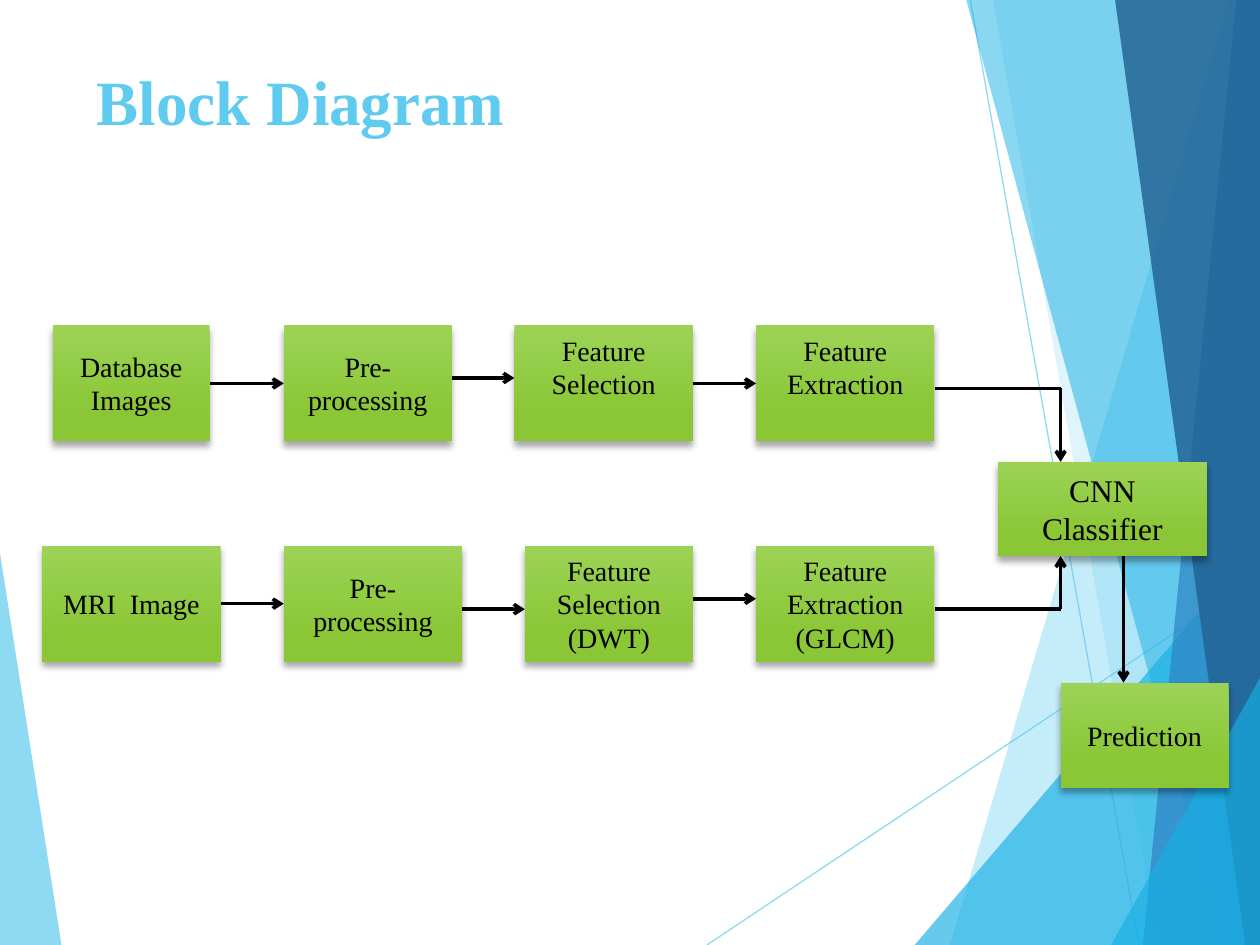
"""Builds the block diagram slide of an MRI classification pipeline."""
from dataclasses import dataclass

from lxml import etree
from pptx import Presentation
from pptx.dml.color import RGBColor
from pptx.enum.shapes import MSO_CONNECTOR, MSO_SHAPE
from pptx.enum.text import MSO_ANCHOR, PP_ALIGN
from pptx.oxml.ns import qn
from pptx.util import Cm, Pt

STRAIGHT = MSO_CONNECTOR.STRAIGHT
RECTANGLE = MSO_SHAPE.RECTANGLE
TOP, MIDDLE = MSO_ANCHOR.TOP, MSO_ANCHOR.MIDDLE
CENTER = PP_ALIGN.CENTER


@dataclass(frozen=True)
class Theme:
    font: str = "Times New Roman"
    ink: str = "000000"
    sky: str = "5FCBEF"
    cyan: str = "17B0E4"
    blue: str = "2E83C3"
    navy: str = "226292"
    lime: str = "9CD356"
    green: str = "8AC635"
    title_size: int = 36
    classifier_size: int = 18
    block_size: int = 16


theme = Theme()


def set_alpha(element, percent):
    color = next(element.iter(qn("a:srgbClr")))
    etree.SubElement(color, qn("a:alpha"), val=str(percent * 1000))


def draw_line(start, end, color, width, arrow=False):
    line = slide.shapes.add_connector(STRAIGHT, *(Cm(v) for v in (*start, *end)))
    line.line.color.rgb = RGBColor.from_string(color)
    line.line.width = Pt(width)
    properties = line._element.spPr
    if arrow:
        outline = properties.find(qn("a:ln"))
        etree.SubElement(outline, qn("a:tailEnd"), type="arrow")
    etree.SubElement(properties, qn("a:effectLst"))
    return line


deck = Presentation()
deck.slide_width, deck.slide_height = Cm(25.4), Cm(19.05)
slide = deck.slides.add_slide(deck.slide_layouts[5])

for start, end in [((14.25, 19.05), (25.4, 11.61)), ((19.56, 0), (22.96, 19.05))]:
    ray = draw_line(start, end, theme.sky, 0.75)
    set_alpha(ray._element.spPr, 70)

right, bottom = 25.4, 19.05
facets = [
    ([(0, 11.15), (1.24, bottom), (0, bottom)], theme.sky, 70),
    ([(24.77, 0), (19.15, bottom), (right, bottom), (right, 0)], theme.sky, 36),
    ([(20.02, 0), (23.34, bottom), (right, bottom), (right, 0)], theme.sky, 20),
    ([(18.44, bottom), (right, 10.9), (right, bottom)], theme.cyan, 66),
    ([(19.48, 0), (24.64, bottom), (right, bottom), (right, 0)], theme.cyan, 50),
    ([(24.92, 0), (23.04, bottom), (right, bottom), (right, 0)], theme.blue, 70),
    ([(22.48, 0), (25.1, bottom), (right, bottom), (right, 0)], theme.navy, 82),
    ([(22.4, bottom), (right, 13.67), (right, bottom)], theme.cyan, 66),
]
for corners, color, opacity in facets:
    points = [(Cm(x), Cm(y)) for x, y in corners]
    outline = slide.shapes.build_freeform(*points[0], scale=1.0)
    outline.add_line_segments(points[1:], close=True)
    facet = outline.convert_to_shape()
    facet.fill.solid()
    facet.fill.fore_color.rgb = RGBColor.from_string(color)
    set_alpha(facet._element.spPr, opacity)
    facet.line.fill.background()
    facet.shadow.inherit = False

heading = slide.shapes.title
heading.left, heading.top, heading.width, heading.height = Cm(1.7), Cm(0.97), Cm(22.86), Cm(2.62)
heading.text_frame.text = "Block Diagram"
heading.text_frame.vertical_anchor = TOP
heading.text_frame.margin_top = Cm(0.28)
heading_line = heading.text_frame.paragraphs[0]
heading_line.alignment = PP_ALIGN.LEFT
heading_font = heading_line.runs[0].font
heading_font.name, heading_font.size, heading_font.bold = theme.font, Pt(theme.title_size), True
heading_font.color.rgb = RGBColor.from_string(theme.sky)

training_top, testing_top, row_height = 6.55, 11, 2.34
training = [
    ("Database\nImages", 1.06, 3.17),
    ("Pre- processing", 5.72, 3.39),
    ("Feature Selection", 10.37, 3.6),
    ("Feature Extraction", 15.24, 3.6),
]
testing = [
    ("MRI  Image", 0.85, 3.6),
    ("Pre- processing", 5.72, 3.6),
    ("Feature\nSelection\n(DWT)", 10.58, 3.39),
    ("Feature\nExtraction\n(GLCM)", 15.24, 3.6),
]
blocks = [
    (label, left, top, width, row_height, theme.block_size)
    for top, row in [(training_top, training), (testing_top, testing)]
    for label, left, width in row
]
blocks += [
    ("CNN\nClassifier", 20.11, 9.31, 4.23, 1.9, theme.classifier_size),
    ("Prediction", 21.38, 13.76, 3.39, 2.12, theme.block_size),
]
raised_labels = ("Feature Selection", "Feature Extraction")
for label, left, top, width, height, size in blocks:
    block = slide.shapes.add_shape(RECTANGLE, Cm(left), Cm(top), Cm(width), Cm(height))
    block.fill.gradient()
    block.fill.gradient_angle = 270
    for stop, color, position in zip(block.fill.gradient_stops, (theme.lime, theme.green), (0, 0.78)):
        stop.color.rgb = RGBColor.from_string(color)
        stop.position = position
    block.line.fill.background()
    effects = etree.SubElement(block._element.spPr, qn("a:effectLst"))
    shadow = etree.SubElement(
        effects, qn("a:outerShdw"), blurRad=str(Pt(4)), dist=str(Pt(3)), dir="5400000", rotWithShape="0"
    )
    etree.SubElement(shadow, qn("a:srgbClr"), val=theme.ink)
    set_alpha(shadow, 35)
    frame = block.text_frame
    frame.text = label
    frame.word_wrap = True
    frame.vertical_anchor = MIDDLE
    if label in raised_labels:
        frame.margin_bottom = Cm(0.78)
    for paragraph in frame.paragraphs:
        paragraph.alignment = CENTER
        font = paragraph.runs[0].font
        font.name, font.size = theme.font, Pt(size)
        font.color.rgb = RGBColor.from_string(theme.ink)

flows = []
for row, levels in [(training, (7.73, 7.62, 7.73)), (testing, (12.17, 12.28, 12.07))]:
    for (_, left, width), (_, next_left, _), level in zip(row, row[1:], levels):
        flows.append(((left + width, level), (next_left, level), True))
for level, classifier_edge in [(7.83, 9.31), (12.28, 11.21)]:
    flows.append(((18.84, level), (21.38, level), False))
    flows.append(((21.38, level), (21.38, classifier_edge), True))
flows.append(((22.65, 11.21), (22.65, 13.76), True))
for start, end, arrow in flows:
    draw_line(start, end, theme.ink, 2, arrow)

deck.save("out.pptx")
